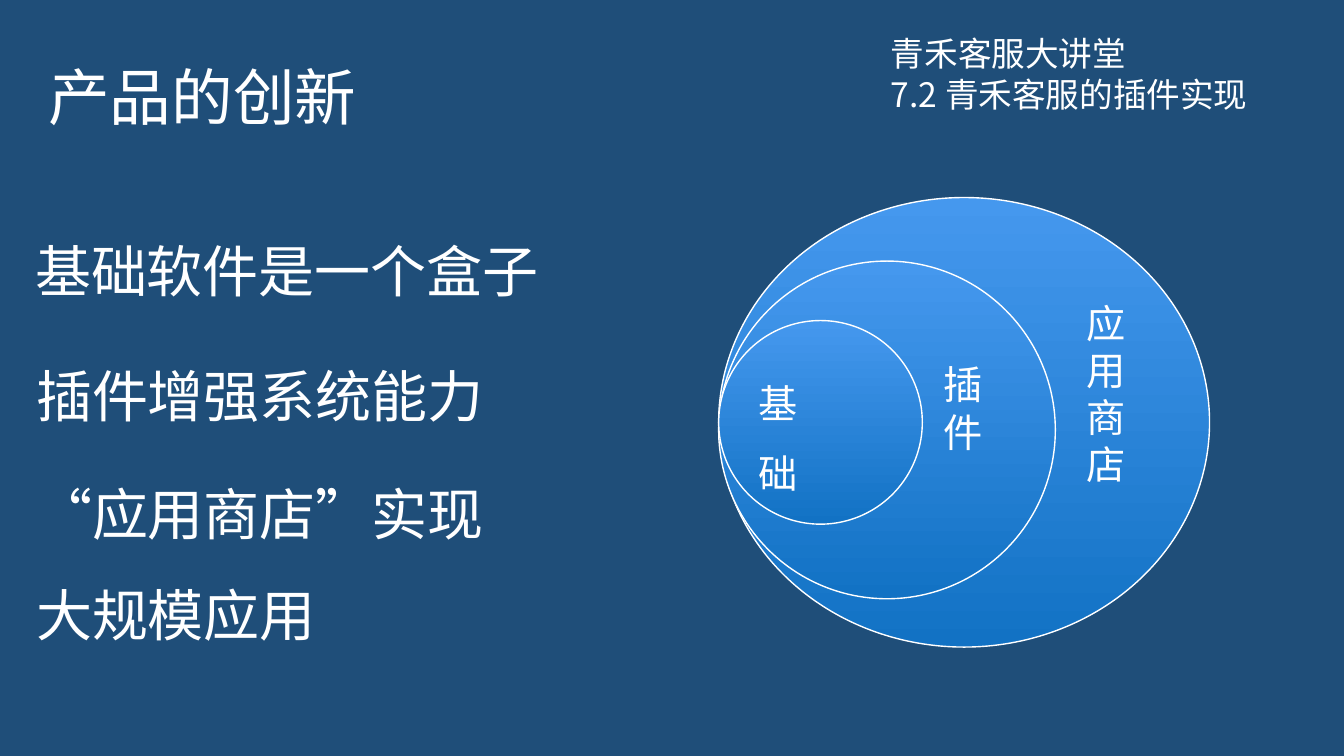
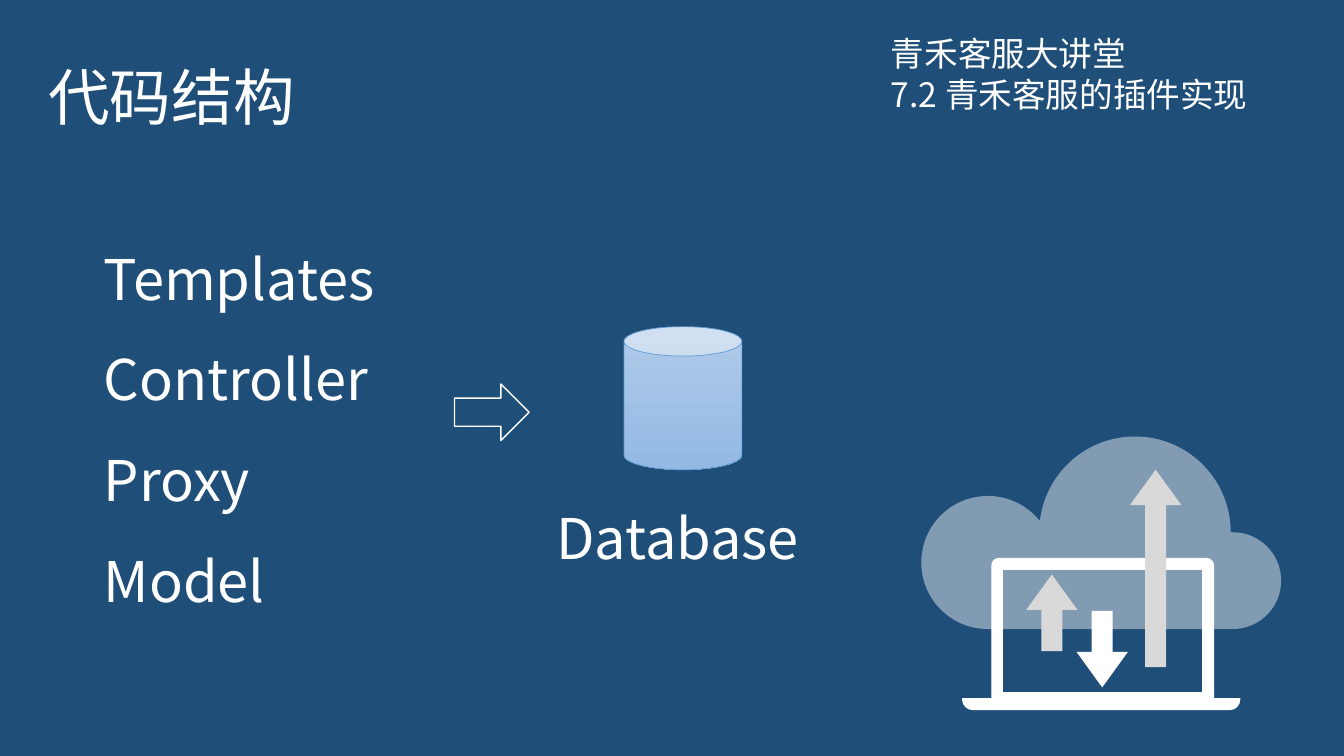
"""Builds two slides on product innovation and code structure."""
from math import ceil, cos, radians, sin, tan

from lxml import etree
from pptx import Presentation
from pptx.dml.color import RGBColor
from pptx.enum.shapes import MSO_SHAPE
from pptx.enum.text import MSO_ANCHOR, PP_ALIGN
from pptx.oxml.ns import qn
from pptx.util import Inches, Pt

OVAL, CAN = MSO_SHAPE.OVAL, MSO_SHAPE.CAN
RIGHT, UP, DOWN = MSO_SHAPE.RIGHT_ARROW, MSO_SHAPE.UP_ARROW, MSO_SHAPE.DOWN_ARROW
TOP, MIDDLE = MSO_ANCHOR.TOP, MSO_ANCHOR.MIDDLE
LEFT = PP_ALIGN.LEFT
TITLE_ONLY = 5

FONT = "Noto Sans CJK SC"
NAVY, WHITE, GREY = "1F4E79", "FFFFFF", "D9D9D9"
DISC = ("4598EE", "1272C4")
CYLINDER, CYLINDER_EDGE = ("B1CBE9", "93B9E4"), "5B9BD5"


def rgb(value):
    """Turn a hex string into a colour."""
    return RGBColor.from_string(value)


def arc(cx, cy, radius, start, end):
    """Return curve knots on a circle, each one after the first with two handles."""
    count = ceil(abs(end - start) / 95)
    step = radians(end - start) / count
    reach = 4 / 3 * tan(step / 4)

    def spot(a, pull=0):
        return (cx + radius * (cos(a) - pull * sin(a)),
                cy + radius * (sin(a) + pull * cos(a)))

    angles = [radians(start) + i * step for i in range(count + 1)]
    return [spot(angles[0])] + [
        spot(b) + (spot(a, reach), spot(b, -reach)) for a, b in zip(angles, angles[1:])]


def write(tf, lines, size=40, color=WHITE, spacing=1.0, anchor=TOP, inset=None,
          wrap=True, vert=None):
    """Fill a text frame with one paragraph per line."""
    tf.word_wrap = wrap
    tf.vertical_anchor = anchor
    if inset is not None:
        tf.margin_left = tf.margin_right = Inches(inset)
        tf.margin_top = tf.margin_bottom = Inches(inset)
    if vert:
        tf._txBody.bodyPr.set("vert", vert)
    for i, line in enumerate(lines):
        p = tf.add_paragraph() if i else tf.paragraphs[0]
        p.alignment = LEFT
        p.line_spacing = spacing
        r = p.add_run()
        r.text = line
        r.font.size = Pt(size)
        r.font.color.rgb = rgb(color)
        r.font.name = FONT
        etree.SubElement(r.font._element, qn("a:ea"), typeface=FONT)


class Deck:
    """Holds the presentation, its style and the current slide."""

    def __init__(self):
        """Set the slide size and the shared background."""
        self.prs = Presentation()
        self.prs.slide_width, self.prs.slide_height = Inches(40 / 3), Inches(7.5)
        fill = self.prs.slide_master.background.fill
        fill.solid()
        fill.fore_color.rgb = rgb(NAVY)

    def slide(self, title):
        """Start a slide with its title and the course header."""
        self.s = self.prs.slides.add_slide(self.prs.slide_layouts[TITLE_ONLY])
        sp = self.s.shapes.title
        sp.left, sp.top, sp.width, sp.height = map(Inches, (0.38, 0.27, 7.2, 1.45))
        write(sp.text_frame, [title], size=44, spacing=0.9, anchor=MIDDLE)
        self.text(8.74, 0.68, 3.75, 0.5, ["7.2 青禾客服的插件实现"], size=24)
        self.text(8.74, 0.28, 2.56, 0.5, ["青禾客服大讲堂"], size=24)

    def text(self, x, y, w, h, lines, **style):
        """Add a text box."""
        sp = self.s.shapes.add_textbox(*map(Inches, (x, y, w, h)))
        write(sp.text_frame, lines, **style)

    def paint(self, sp, fill=None, line=None, weight=1, alpha=None):
        """Set fill, outline and transparency; a pair of colours is a gradient."""
        sp.shadow.inherit = False
        if fill is None:
            sp.fill.background()
        elif isinstance(fill, tuple):
            sp.fill.gradient()
            sp.fill.gradient_angle = 270
            for stop, color, position in zip(sp.fill.gradient_stops, fill, (0, 1)):
                stop.color.rgb = rgb(color)
                stop.position = position
        else:
            sp.fill.solid()
            sp.fill.fore_color.rgb = rgb(fill)
        if alpha is not None:
            color = sp.element.spPr.find(".//" + qn("a:srgbClr"))
            etree.SubElement(color, qn("a:alpha"), val=str(alpha * 1000))
        if line is None:
            sp.line.fill.background()
        else:
            sp.line.color.rgb = rgb(line)
            sp.line.width = Pt(weight)

    def shape(self, kind, x, y, w, h, adjust=(), **look):
        """Add a preset shape and return it."""
        sp = self.s.shapes.add_shape(kind, *map(Inches, (x, y, w, h)))
        for i, value in enumerate(adjust):
            sp.adjustments[i] = value
        self.paint(sp, **look)
        return sp

    def outline(self, *contours, **look):
        """Add a closed freeform with curves; further contours cut holes."""
        builder = None
        for contour in contours:
            start, *rest = [(Inches(knot[0]), Inches(knot[1])) for knot in contour]
            if builder is None:
                builder = self.s.shapes.build_freeform(*start)
            else:
                builder.move_to(*start)
            builder.add_line_segments(rest, close=True)
        sp = builder.convert_to_shape()
        knots = [knot for contour in contours for knot in contour[1:]]
        for segment, knot in zip(list(sp.element.iter(qn("a:lnTo"))), knots):
            if len(knot) > 2:
                segment.addprevious(self.curve(sp, segment, knot[2:]))
                segment.getparent().remove(segment)
        self.paint(sp, **look)

    def curve(self, sp, segment, handles):
        """Return a cubic curve that ends where the straight segment does."""
        cubic = etree.Element(qn("a:cubicBezTo"))
        for x, y in handles:
            etree.SubElement(cubic, qn("a:pt"), x=str(Inches(x) - sp.left),
                             y=str(Inches(y) - sp.top))
        cubic.append(segment[0])
        return cubic

    def cloud_laptop(self):
        """Draw the laptop exchanging data with a cloud."""
        self.outline(arc(12.23, 5.76, 0.48, 90, -90) + arc(11.26, 5.28, 0.95, 0, -173)
                     + arc(9.8, 5.58, 0.66, -39, -180)
                     + arc(9.8, 5.58, 0.66, -180, -270)[1:], fill=WHITE, alpha=44)
        solid = dict(fill=WHITE, line=WHITE, weight=0.75)
        self.outline([(9.84, 6.93), (12.04, 6.93)] + arc(11.97, 5.61, 0.07, 0, -90)
                     + arc(9.91, 5.61, 0.07, -90, -180),
                     [(11.93, 6.87), (11.93, 5.65), (9.95, 5.65), (9.95, 6.87)], **solid)
        self.outline([(9.55, 6.93)] + arc(9.65, 6.94, 0.1, 180, 90)
                     + arc(12.2, 6.94, 0.1, 90, 0) + [(12.3, 6.93)], **solid)
        for kind, x, y, h, color in ((UP, 10.18, 5.7, 0.76, GREY),
                                     (UP, 11.21, 4.66, 1.96, GREY),
                                     (DOWN, 10.68, 6.06, 0.76, WHITE)):
            self.shape(kind, x, y, 0.51, h, adjust=(0.41, 0.69), fill=color)


def innovation(deck):
    """Build the slide on product innovation."""
    deck.slide("产品的创新")
    for x, y, h, lines in ((0.25, 1.96, 0.99, ["基础软件是一个盒子"]),
                           (0.26, 3.2, 0.99, ["插件增强系统能力"]),
                           (0.26, 4.38, 2, ["“应用商店”实现", "大规模应用"])):
        deck.text(x, y, 5.38, h, lines, spacing=1.5)
    for y, w, h in ((1.96, 4.87, 4.46), (2.59, 3.34, 3.35), (3.18, 2.02, 2.02)):
        disc = deck.shape(OVAL, 7.13, y, w, h, fill=DISC, line=WHITE)
    stacked = dict(size=28, vert="wordArtVert")
    write(disc.text_frame, ["基础"], spacing=1.5, anchor=MIDDLE, **stacked)
    disc.text_frame.margin_bottom = Inches(0.13)
    deck.text(9.26, 3.53, 0.81, 1.31, ["插件"], wrap=False, **stacked)
    deck.text(10.68, 2.92, 0.81, 2.52, ["应用商店"], wrap=False, **stacked)


def structure(deck):
    """Build the slide on code structure."""
    deck.slide("代码结构")
    deck.text(0.98, 2.04, 4.49, 4.14, ["Templates", "Controller", "Proxy", "Model"],
              spacing=1.5, inset=0.05)
    deck.shape(RIGHT, 4.51, 3.81, 0.74, 0.56, line=WHITE)
    deck.shape(CAN, 6.19, 3.24, 1.17, 1.42, fill=CYLINDER, line=CYLINDER_EDGE, weight=0.5)
    deck.text(5.42, 4.95, 2.7, 0.77, ["Database"])
    deck.cloud_laptop()


def main():
    """Build and save the presentation."""
    deck = Deck()
    innovation(deck)
    structure(deck)
    deck.prs.save("out.pptx")


if __name__ == "__main__":
    main()
